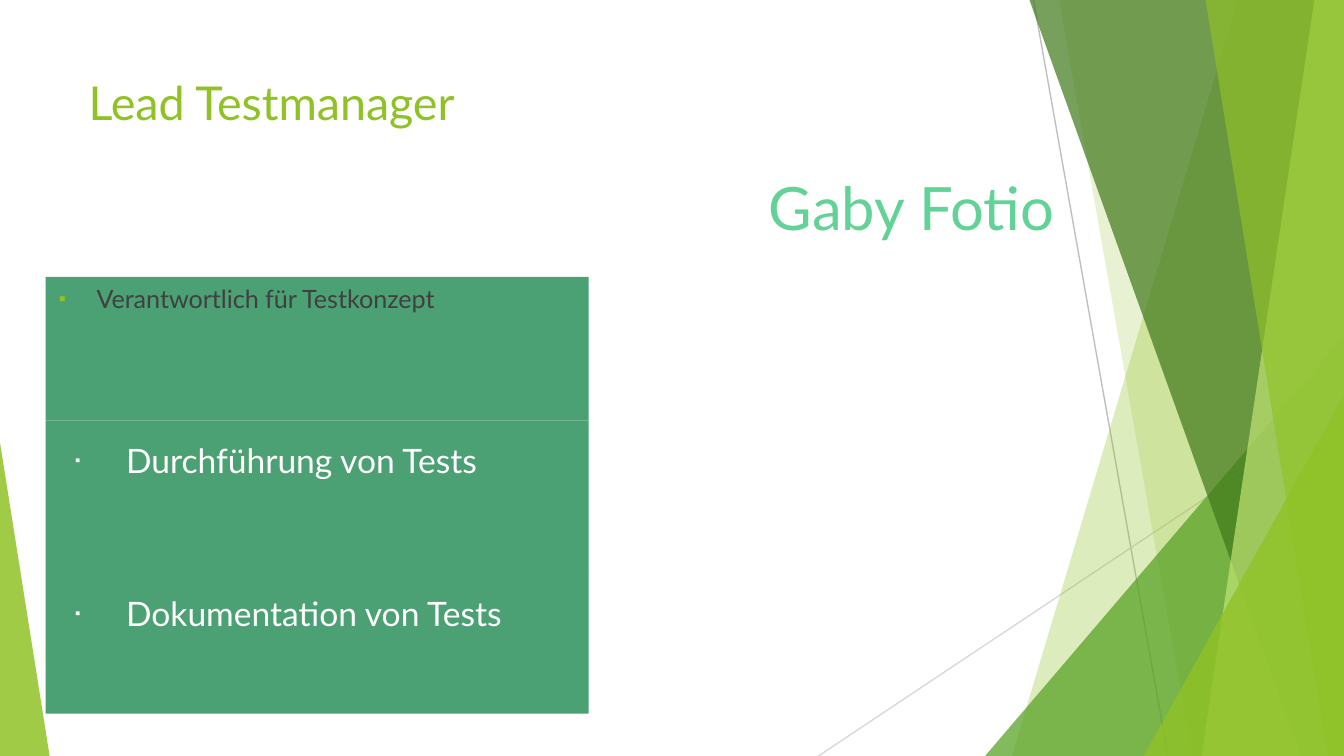
from lxml import etree
from pptx import Presentation
from pptx.dml.color import RGBColor
from pptx.enum.shapes import MSO_CONNECTOR, MSO_SHAPE
from pptx.enum.text import MSO_ANCHOR, PP_ALIGN
from pptx.oxml.ns import qn
from pptx.util import Inches, Pt

RECTANGLE = MSO_SHAPE.RECTANGLE
STRAIGHT = MSO_CONNECTOR.STRAIGHT
TOP = MSO_ANCHOR.TOP
LEFT = PP_ALIGN.LEFT

FONT = "Lato"
WHITE = RGBColor(0xFF, 0xFF, 0xFF)
GRAY = RGBColor(0x40, 0x40, 0x40)
RAY_DARK = RGBColor(0xBF, 0xBF, 0xBF)
RAY_LIGHT = RGBColor(0xD9, 0xD9, 0xD9)
LIME = RGBColor(0x90, 0xC2, 0x26)
PALE_LIME = RGBColor(0xC0, 0xE4, 0x74)
GREEN = RGBColor(0x54, 0xA0, 0x21)
DARK_GREEN = RGBColor(0x3F, 0x78, 0x19)
TASK_GREEN = RGBColor(0x4B, 0xA1, 0x73)
MINT = RGBColor(0x63, 0xD2, 0x97)

SLIDE_W = 10
SLIDE_H = SLIDE_W * 9 / 16


def apply_format(target, values):
    for name, value in values.items():
        setattr(target, name, value)


def set_text(frame, text, size, color, margins):
    apply_format(frame, {"word_wrap": True, "vertical_anchor": TOP, **margins})
    paragraph = frame.paragraphs[0]
    paragraph.alignment = LEFT
    run = paragraph.add_run()
    run.text = text
    apply_format(run.font, {"name": FONT, "size": Pt(size), "bold": False})
    run.font.color.rgb = color
    return paragraph


def inset(side, top):
    return {
        "margin_left": Inches(side),
        "margin_right": Inches(side),
        "margin_top": Inches(top),
        "margin_bottom": Inches(top),
    }


def add_bullet(paragraph, color, percent, margin, indent):
    properties = paragraph._p.get_or_add_pPr()
    properties.set("marL", str(Inches(margin)))
    properties.set("indent", str(Inches(indent)))
    bullet_color = etree.SubElement(properties, qn("a:buClr"))
    etree.SubElement(bullet_color, qn("a:srgbClr"), val=str(color))
    etree.SubElement(properties, qn("a:buSzPct"), val=str(percent * 1000))
    etree.SubElement(properties, qn("a:buFont"), typeface="Arial")
    etree.SubElement(properties, qn("a:buChar"), char="▪")


def add_facet(slide, box, points, color, opacity):
    left, top = box[:2]
    corners = [(Inches(left + x), Inches(top + y)) for x, y in points]
    builder = slide.shapes.build_freeform(*corners[0], scale=1.0)
    builder.add_line_segments(corners[1:], close=True)
    facet = builder.convert_to_shape()
    facet.shadow.inherit = False
    facet.fill.solid()
    facet.fill.fore_color.rgb = color
    facet.line.fill.background()
    tint = facet._element.spPr.find(qn("a:solidFill")).find(qn("a:srgbClr"))
    etree.SubElement(tint, qn("a:alpha"), val=str(opacity * 1000))


def add_ray(slide, box, start, end, color):
    left, top = box[:2]
    ray = slide.shapes.add_connector(
        STRAIGHT,
        Inches(left + start[0]), Inches(top + start[1]),
        Inches(left + end[0]), Inches(top + end[1]),
    )
    ray.line.color.rgb = color
    ray.line.width = Pt(0.75)
    etree.SubElement(ray._element.spPr, qn("a:effectLst"))


def add_right_facets(slide, box):
    width, height = box[2:]

    def band(top_x, bottom_x):
        return [(top_x, 0), (width, 0), (width, height), (bottom_x, height)]

    def wedge(left_x, peak_y):
        return [(left_x, height), (width, peak_y), (width, height)]

    add_ray(slide, box, (1.6, 0), (2.6, height), RAY_DARK)
    add_ray(slide, box, (width, 3.02), (0, height), RAY_LIGHT)
    facets = [
        (band(3.12, 1.44), LIME, 30),
        (band(1.79, 2.78), LIME, 20),
        (wedge(1.24, 2.5), GREEN, 72),
        (band(1.57, 3.59), DARK_GREEN, 70),
        (band(3.69, 2.85), PALE_LIME, 70),
        (band(2.88, 3.79), LIME, 65),
        (wedge(2.42, 2.94), LIME, 80),
    ]
    for points, color, opacity in facets:
        add_facet(slide, box, points, color, opacity)


def add_left_facet(slide, box):
    width, height = box[2:]
    add_facet(slide, box, [(0, height), (0, 0), (width, height)], LIME, 85)


def place_title(slide, box):
    title = slide.shapes.title
    places = map(Inches, box)
    apply_format(title, dict(zip(("left", "top", "width", "height"), places)))
    set_text(title.text_frame, "Lead Testmanager", 25, LIME, inset(0.1, 0.05))


def add_tasks(slide, box):
    left, top, width, _ = box
    first = {"size": 13.5, "color": GRAY, "margins": inset(0.1, 0.05)}
    other = {"size": 18, "color": WHITE, "margins": inset(0.1, 0.1)}
    first_bullet = (LIME, 80, 0.28, -0.28)
    other_bullet = (WHITE, 45, 0.5, -0.38)
    tasks = [
        ("Verantwortlich für Testkonzept", 1.07, first, first_bullet, 1.0),
        ("Durchführung von Tests", 1.14, other, other_bullet, 1.15),
        ("Dokumentation von Tests", 1.04, other, other_bullet, 1.15),
    ]
    for text, height, style, bullet, spacing in tasks:
        task = slide.shapes.add_shape(
            RECTANGLE, Inches(left), Inches(top), Inches(width), Inches(height)
        )
        task.shadow.inherit = False
        task.fill.solid()
        task.fill.fore_color.rgb = TASK_GREEN
        task.line.fill.background()
        paragraph = set_text(task.text_frame, text, **style)
        add_bullet(paragraph, *bullet)
        paragraph.line_spacing = spacing
        top += height


def add_person(slide, box):
    person = slide.shapes.add_textbox(*map(Inches, box))
    set_text(person.text_frame, "Gaby Fotio", 32, MINT, inset(0.1, 0.05))


def main():
    presentation = Presentation()
    presentation.slide_width = Inches(SLIDE_W)
    presentation.slide_height = Inches(SLIDE_H)
    slide = presentation.slides.add_slide(presentation.slide_layouts[5])
    add_right_facets(slide, (6.09, 0, 3.91, SLIDE_H))
    add_left_facet(slide, (0, 3.29, 0.37, SLIDE_H - 3.29))
    place_title(slide, (0.56, 0.5, 7.05, 1.08))
    add_tasks(slide, (0.34, 2.06, 4.04, 3.25))
    add_person(slide, (5.62, 1.22, 4.04, 0.64))
    presentation.save("out.pptx")


if __name__ == "__main__":
    main()
